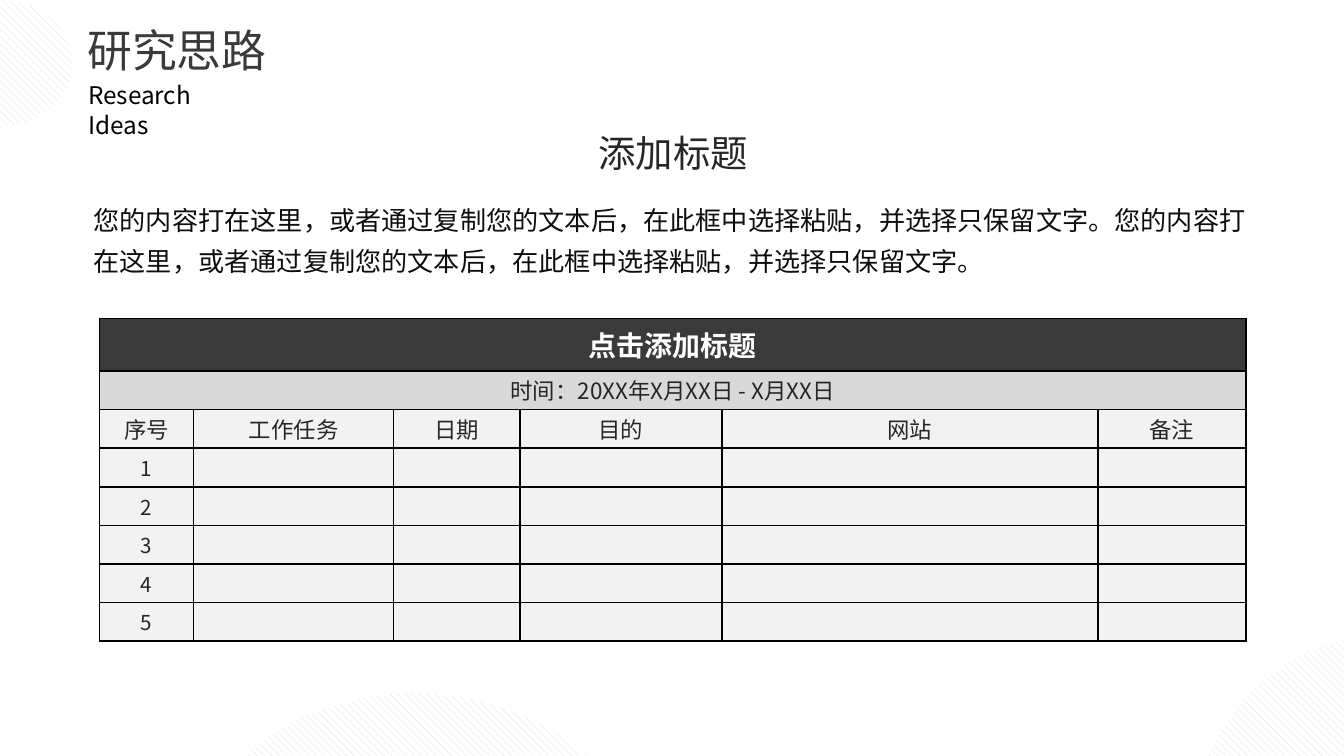
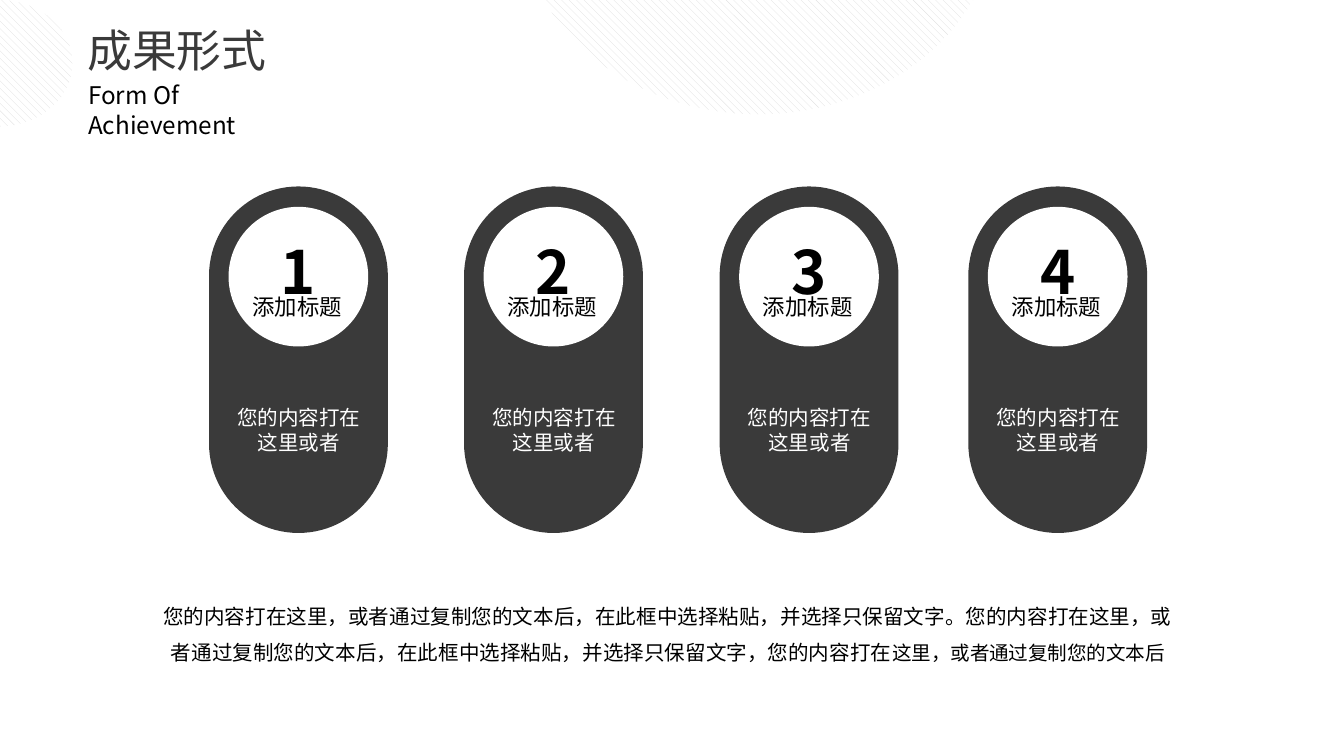
from lxml.etree import SubElement
from pptx import Presentation
from pptx.dml.color import RGBColor
from pptx.enum.dml import MSO_PATTERN
from pptx.enum.shapes import MSO_SHAPE
from pptx.enum.text import MSO_ANCHOR, MSO_AUTO_SIZE, PP_ALIGN
from pptx.oxml.ns import qn
from pptx.util import Cm, Pt

CHARCOAL = RGBColor(0x3A, 0x3A, 0x3A)
DARK_GREY = RGBColor(0x26, 0x26, 0x26)
NEAR_BLACK = RGBColor(0x0D, 0x0D, 0x0D)
BLACK = RGBColor(0, 0, 0)
WHITE = RGBColor(0xFF, 0xFF, 0xFF)
HATCH_GREY = RGBColor(0xDD, 0xDD, 0xDD)
BAND_GREY = RGBColor(0xD9, 0xD9, 0xD9)
CELL_GREY = RGBColor(0xF2, 0xF2, 0xF2)

FONT = "Noto Sans CJK SC"
HATCH = MSO_PATTERN.WIDE_DOWNWARD_DIAGONAL
OVAL, PILL = MSO_SHAPE.OVAL, MSO_SHAPE.ROUNDED_RECTANGLE
LEFT, CENTER = PP_ALIGN.LEFT, PP_ALIGN.CENTER
MIDDLE = MSO_ANCHOR.MIDDLE
GROW = MSO_AUTO_SIZE.SHAPE_TO_FIT_TEXT


def add_span(para, text, size, color, bold=False):
    span = para.add_run()
    span.text = text
    span.font.color.rgb = color
    for name, value in {"name": FONT, "size": Pt(size), "bold": bold}.items():
        setattr(span.font, name, value)
    SubElement(span.font._element, qn("a:ea"), typeface=FONT)
    return span


def add_text(page, place, text, size, color, align=LEFT, spacing=None, wrap=True, bold=False):
    """Add a text box at place (left, top, width, height in cm); return its frame."""
    frame = page.shapes.add_textbox(*map(Cm, place)).text_frame
    frame.word_wrap = wrap
    frame.auto_size = GROW
    para = frame.paragraphs[0]
    para.alignment = align
    para.line_spacing = spacing
    add_span(para, text, size, color, bold)
    return frame


deck = Presentation()
deck.slide_width, deck.slide_height = Cm(25.4), Cm(14.29)

# Shared header and hatched ovals: (left, top, width, height, rotation)
corner_oval = (-1.4, 0, 2.77, 2.39, 0)
headers = [
    ("研究思路", "Research Ideas", 3.56,
     [corner_oval, (21.87, 12.62, 9.07, 7.82, 75), (3.3, 13.11, 9.07, 7.82, 0)]),
    ("成果形式", "Form Of Achievement", 4.6,
     [corner_oval, (9.8, -5.66, 9.07, 7.82, 0)]),
]
pages = []
for title, subtitle, subtitle_width, ovals in headers:
    page = deck.slides.add_slide(deck.slide_layouts[6])
    pages.append(page)
    for *place, rotation in ovals:
        oval = page.shapes.add_shape(OVAL, *map(Cm, place))
        oval.shadow.inherit = False
        oval.rotation = rotation
        oval.line.fill.background()
        oval.fill.patterned()
        oval.fill.pattern = HATCH
        oval.fill.fore_color.rgb = HATCH_GREY
        oval.fill.back_color.rgb = WHITE
    add_text(page, (1.4, 0.3, 5.92, 1.3), title, 24, CHARCOAL)
    add_text(page, (1.42, 1.4, subtitle_width, 0.81), subtitle, 13, BLACK)

ideas_page, results_page = pages

# Research ideas: introduction and schedule table
add_text(ideas_page, (11.05, 2.34, 3.35, 1.12), "添加标题", 20, DARK_GREY, CENTER, wrap=False)
add_text(ideas_page, (1.52, 3.56, 22.33, 1.73),
         "您的内容打在这里，或者通过复制您的文本后，在此框中选择粘贴，并选择只保留文字。"
         "您的内容打在这里，或者通过复制您的文本后，在此框中选择粘贴，并选择只保留文字。",
         14, NEAR_BLACK, spacing=1.3)

column_widths = [1.78, 3.78, 2.39, 3.81, 7.11, 2.8]
row_heights = [0.99] + [0.73] * 7
schedule_rows = [
    ["点击添加标题"],
    ["时间：20XX年X月XX日 - X月XX日"],
    ["序号", "工作任务", "日期", "目的", "网站", "备注"],
] + [[str(number)] for number in range(1, 6)]
row_styles = [
    (CHARCOAL, 15, WHITE, True),
    (BAND_GREY, 12, DARK_GREY, False),
    (CELL_GREY, 12, DARK_GREY, False),
] + [(CELL_GREY, 11, DARK_GREY, False)] * 5
cell_format = {"margin_left": Cm(0.03), "margin_right": Cm(0.03),
               "margin_top": 0, "margin_bottom": 0, "vertical_anchor": MIDDLE}

schedule = ideas_page.shapes.add_table(
    len(row_heights), len(column_widths), Cm(1.88), Cm(6.02),
    Cm(sum(column_widths)), Cm(sum(row_heights))).table
schedule.first_row = schedule.horz_banding = False
for column, width in zip(schedule.columns, column_widths):
    column.width = Cm(width)
for row, height, texts, (fill, size, color, bold) in zip(
        schedule.rows, row_heights, schedule_rows, row_styles):
    row.height = Cm(height)
    for index, cell in enumerate(row.cells):
        for name, value in cell_format.items():
            setattr(cell, name, value)
        for side in ("a:lnL", "a:lnR", "a:lnT", "a:lnB"):
            border = SubElement(cell._tc.tcPr, qn(side), w=str(Pt(1)))
            SubElement(SubElement(border, qn("a:solidFill")), qn("a:srgbClr"), val=str(BLACK))
        cell.fill.solid()
        cell.fill.fore_color.rgb = fill
        para = cell.text_frame.paragraphs[0]
        para.alignment = CENTER
        if index < len(texts):
            add_span(para, texts[index], size, color, bold)
        else:
            SubElement(para._p, qn("a:endParaRPr"), sz=str(size * 100))
for index in range(2):
    schedule.cell(index, 0).merge(schedule.cell(index, len(column_widths) - 1))

# Forms of achievement: four numbered pills
pill_length, pill_width, disc_size = 6.55, 3.38, 2.64
for number, center in enumerate([5.64, 10.46, 15.29, 19.99], start=1):
    pill = results_page.shapes.add_shape(
        PILL, Cm(center - pill_length / 2), Cm(5.11), Cm(pill_length), Cm(pill_width))
    pill.adjustments[0] = 0.5
    pill.rotation = 90
    disc = results_page.shapes.add_shape(
        OVAL, Cm(center - disc_size / 2), Cm(3.91), Cm(disc_size), Cm(disc_size))
    for shape, color in ((pill, CHARCOAL), (disc, WHITE)):
        shape.shadow.inherit = False
        shape.fill.solid()
        shape.fill.fore_color.rgb = color
        shape.line.fill.background()
    frame = add_text(results_page, (center - 1.45, 3.76, 2.9, 1.83), str(number),
                     32, BLACK, CENTER, spacing=1.5, bold=True)
    for side in ("left", "right", "top", "bottom"):
        setattr(frame, "margin_" + side, 0)
    frame.paragraphs[0].runs[0].font._element.set("spc", "50")
    add_text(results_page, (center - 1.12, 5.41, 2.24, 0.76), "添加标题", 12, BLACK, wrap=False)
    add_text(results_page, (center - 1.5, 7.54, 3.02, 1.19), "您的内容打在这里或者",
             11, WHITE, CENTER)

summary = add_text(
    results_page, (2.67, 11.05, 19.91, 1.57),
    "您的内容打在这里，或者通过复制您的文本后，在此框中选择粘贴，并选择只保留文字。"
    "您的内容打在这里，或者通过复制您的文本后，在此框中选择粘贴，并选择只保留文字，您的内容打在",
    11, BLACK, CENTER, spacing=1.5)
add_span(summary.paragraphs[0], "这里，或者通过复制您的文本后", 10.5, BLACK)

deck.save("out.pptx")
